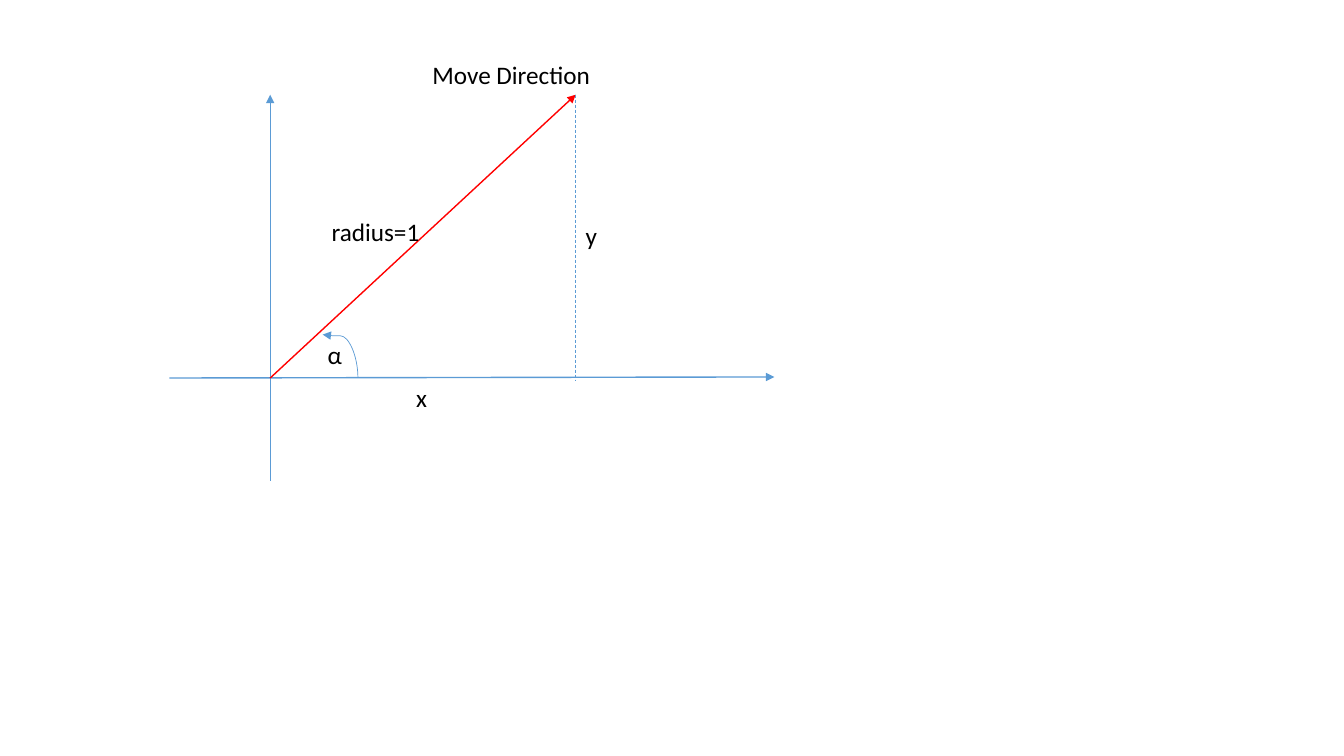
"""Draw a unit move direction with its x and y components and angle."""
from pptx import Presentation, util as u
from pptx.dml.color import RGBColor
from pptx.enum import dml, shapes, text
from pptx.oxml.ns import qn
from lxml import etree

BLUE, RED, BLACK = "5B9BD5", "FF0000", "000000"

deck = Presentation()
deck.slide_width, deck.slide_height = u.Inches(13.33), u.Inches(7.5)
slide = deck.slides.add_slide(deck.slide_layouts[6])


def add_line(start, end, color=BLUE, width=1, arrow=True, kind=shapes.MSO_CONNECTOR.STRAIGHT):
    connector = slide.shapes.add_connector(kind, *map(u.Inches, start + end))
    connector.line.color.rgb = RGBColor.from_string(color)
    connector.line.width = u.Pt(width)
    properties = connector._element.spPr
    if arrow:
        etree.SubElement(properties.find(qn("a:ln")), qn("a:tailEnd"), type="triangle")
    etree.SubElement(properties, qn("a:effectLst"))
    return connector


origin, tip = (2.68, 3.75), (5.71, 0.94)
add_line((1.68, 3.75), (7.68, 3.74))
add_line((origin[0], 4.77), (origin[0], tip[1]))
add_line(origin, tip, RED)

angle_arc = add_line((3.16, 3.71), (3.59, 3.36), width=0.5, kind=shapes.MSO_CONNECTOR.CURVE)
arc_properties = angle_arc._element.spPr
arc_properties.find(qn("a:xfrm")).set("rot", str(270 * 60000))
arc_geometry = arc_properties.find(qn("a:prstGeom"))
bends = arc_geometry.find(qn("a:avLst"))
if bends is None:
    bends = etree.SubElement(arc_geometry, qn("a:avLst"))
etree.SubElement(bends, qn("a:gd"), name="adj1", fmla="val 97300")

y_component = add_line(tip, (tip[0], 3.77), width=0.5, arrow=False)
y_component.line.dash_style = dml.MSO_LINE.DASH

labels = [
    ("Move Direction", 4.19, 0.54, 1.79),
    ("α", 3.15, 3.32, 0.35),
    ("y", 5.71, 2.14, 0.32),
    ("x", 4.03, 3.74, 0.32),
    ("radius=1", 3.19, 2.1, 1.08),
]
for wording, left, top, width in labels:
    frame = slide.shapes.add_textbox(*map(u.Inches, (left, top, width, 0.4))).text_frame
    frame.word_wrap = False
    frame.auto_size = text.MSO_AUTO_SIZE.SHAPE_TO_FIT_TEXT
    paragraph = frame.paragraphs[0]
    paragraph.text = wording
    paragraph.font.name = "Calibri"
    paragraph.font.size = u.Pt(18)
    paragraph.font.color.rgb = RGBColor.from_string(BLACK)

deck.save("out.pptx")
